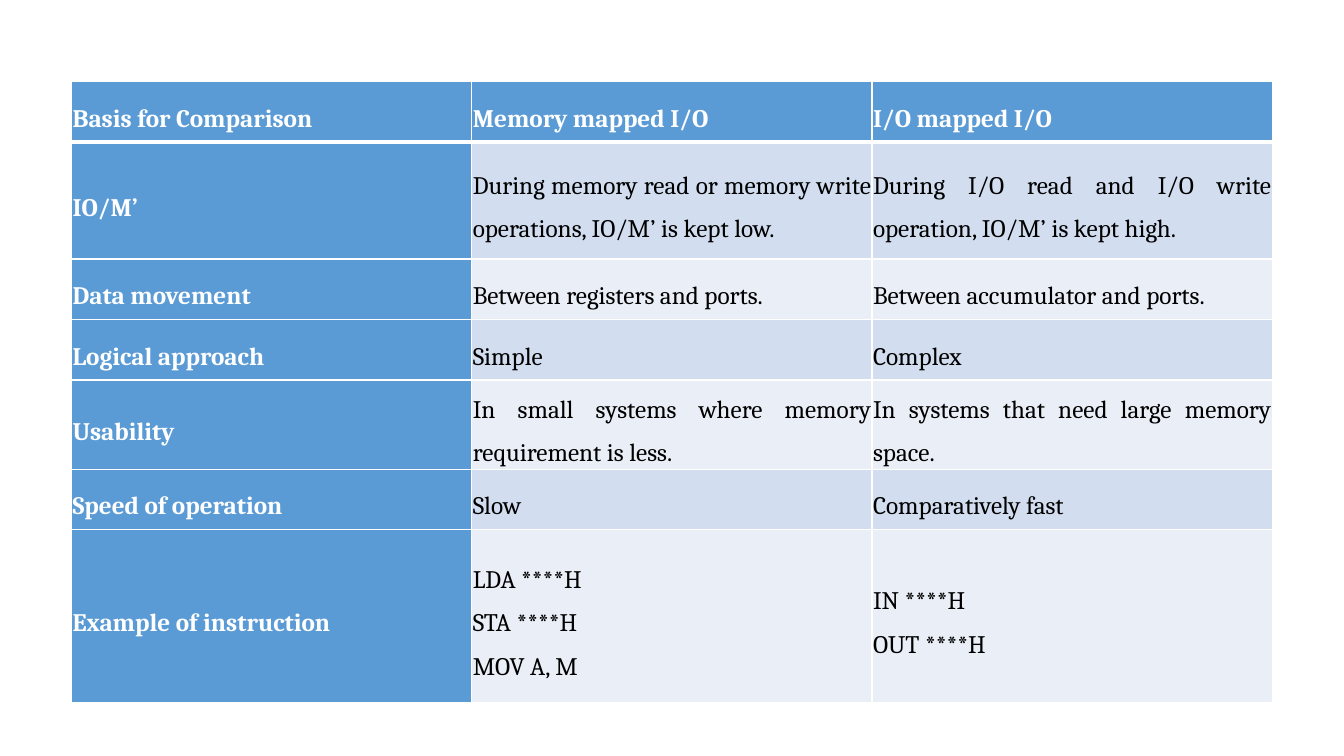
"""Build a slide comparing memory mapped I/O with I/O mapped I/O."""
from lxml import etree
from pptx import Presentation
from pptx.dml.color import RGBColor
from pptx.enum import text as t
from pptx.oxml import ns
from pptx.util import Inches, Pt

COMPARISON = [
    ("Basis for Comparison", "Memory mapped I/O", "I/O mapped I/O"),
    ("IO/M’", "During memory read or memory write operations, IO/M’ is kept low.",
     "During I/O read and I/O write operation, IO/M’ is kept high."),
    ("Data movement", "Between registers and ports.", "Between accumulator and ports."),
    ("Logical approach", "Simple", "Complex"),
    ("Usability", "In small systems where memory requirement is less.",
     "In systems that need large memory space."),
    ("Speed of operation", "Slow", "Comparatively fast"),
    ("Example of instruction", "LDA ****H\nSTA ****H\nMOV A, M", "IN ****H\nOUT ****H"),
]
ROW_HEIGHTS = [0.6, 1.16, 0.6, 0.6, 0.6, 0.6, 1.72]
COLUMN_WIDTH = 3.97
LEFT, TOP = 0.71, 0.81

WHITE = RGBColor(0xFF, 0xFF, 0xFF)
BLACK = RGBColor(0, 0, 0)
BLUE = RGBColor(0x5B, 0x9B, 0xD5)
BANDS = [RGBColor(0xEA, 0xEF, 0xF7), RGBColor(0xD2, 0xDE, 0xEF)]


def write(cell, words, color, bold, align):
    """Fill a cell with formatted text."""
    cell.vertical_anchor = t.MSO_ANCHOR.MIDDLE
    cell.margin_left = cell.margin_right = Inches(0.01)
    cell.margin_top = cell.margin_bottom = Inches(0.01)
    paragraph = cell.text_frame.paragraphs[0]
    paragraph.text = words.replace("\n", "\v")
    paragraph.alignment = align
    paragraph.line_spacing = 1.5
    paragraph.space_after = Pt(8)
    for run in paragraph.runs:
        run.font.name, run.font.size = "Cambria", Pt(18)
        run.font.bold, run.font.color.rgb = bold, color


def draw_borders(cell, **widths):
    """Give the cell white borders of the given widths in points."""
    properties = cell._tc.get_or_add_tcPr()
    for side in ("L", "R", "T", "B"):
        line = etree.SubElement(properties, ns.qn(f"a:ln{side}"), w=str(Pt(widths.get(side, 1))))
        fill = etree.SubElement(line, ns.qn("a:solidFill"))
        etree.SubElement(fill, ns.qn("a:srgbClr"), val=str(WHITE))


def main():
    """Lay out the comparison table and save the slide."""
    deck = Presentation()
    deck.slide_width, deck.slide_height = Inches(13.33), Inches(7.5)
    slide = deck.slides.add_slide(deck.slide_layouts[6])
    columns = len(COMPARISON[0])
    table = slide.shapes.add_table(
        len(COMPARISON), columns, Inches(LEFT), Inches(TOP),
        Inches(COLUMN_WIDTH * columns), Inches(sum(ROW_HEIGHTS))).table
    table.first_col = True
    for column in table.columns:
        column.width = Inches(COLUMN_WIDTH)
    for r, (entries, height) in enumerate(zip(COMPARISON, ROW_HEIGHTS)):
        table.rows[r].height = Inches(height)
        for c, words in enumerate(entries):
            cell = table.cell(r, c)
            heading = r == 0 or c == 0
            draw_borders(cell, T=3 if r == 1 else 1, B=3 if r == 0 else 1)
            cell.fill.solid()
            cell.fill.fore_color.rgb = BLUE if heading else BANDS[r % 2]
            write(cell, words, color=WHITE if heading else BLACK, bold=heading,
                  align=t.PP_ALIGN.LEFT if "\n" in words else t.PP_ALIGN.JUSTIFY)
    deck.save("out.pptx")


if __name__ == "__main__":
    main()
